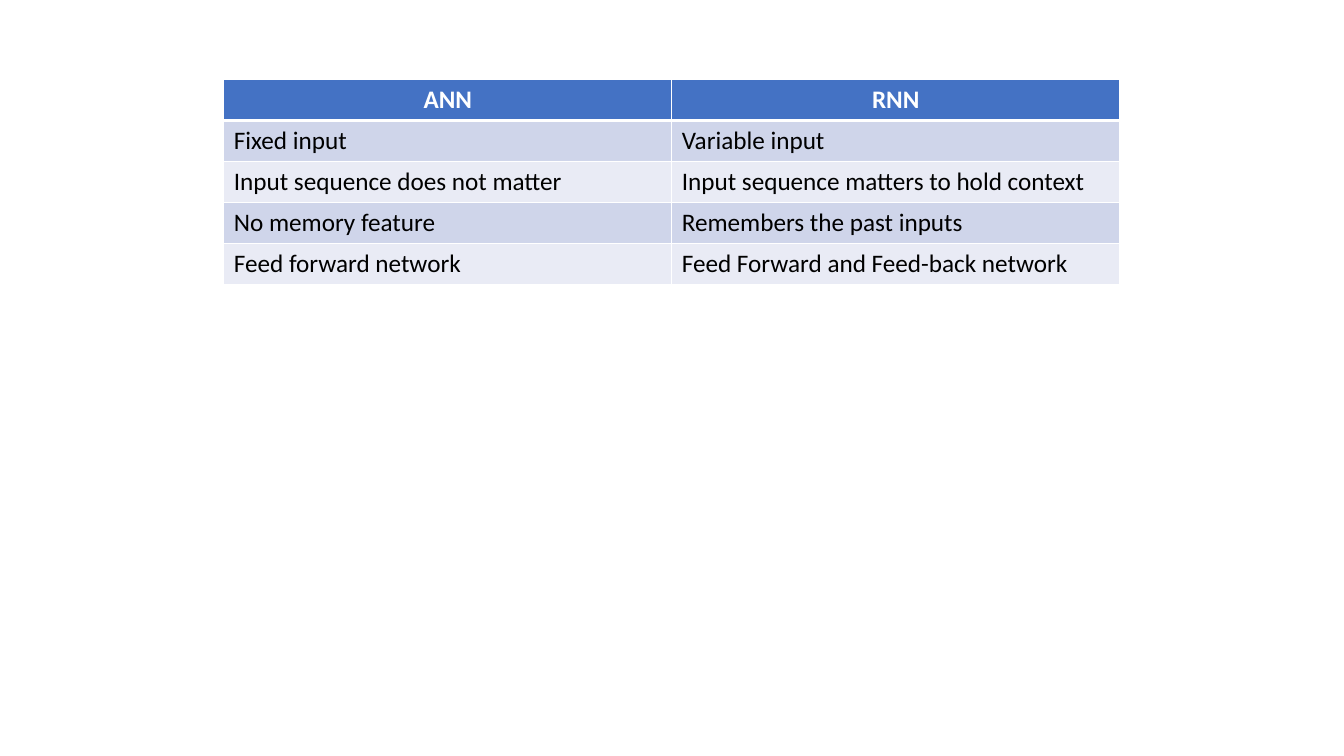
from dataclasses import dataclass

from lxml.etree import SubElement
from pptx import Presentation
from pptx.dml.color import RGBColor
from pptx.enum.text import PP_ALIGN
from pptx.oxml.ns import qn
from pptx.table import _Cell
from pptx.util import Cm, Pt

COLORS = {
    "header": "4472C4",
    "odd_row": "CFD5EA",
    "even_row": "E9EBF5",
    "border": "FFFFFF",
    "header_text": "FFFFFF",
    "body_text": "000000",
}
COLUMN_WIDTH = Cm(11.29)
ROW_HEIGHT = Cm(1.03)


@dataclass
class ComparisonRow:
    ann: str
    rnn: str


ROWS = [
    ComparisonRow("ANN", "RNN"),
    ComparisonRow("Fixed input", "Variable input"),
    ComparisonRow("Input sequence does not matter", "Input sequence matters to hold context"),
    ComparisonRow("No memory feature", "Remembers the past inputs"),
    ComparisonRow("Feed forward network", "Feed Forward and Feed-back network"),
]


def write_text(cell: _Cell, text: str, *, color: str, bold: bool = False,
               align: PP_ALIGN = PP_ALIGN.LEFT) -> None:
    para = cell.text_frame.paragraphs[0]
    para.alignment = align
    span = para.add_run()
    span.text = text
    span.font.name = "Calibri"
    span.font.size = Pt(18)
    span.font.bold = bold
    span.font.color.rgb = RGBColor.from_string(COLORS[color])


def set_borders(cell: _Cell, top: float = 1, bottom: float = 1) -> None:
    """Draw the four cell borders; widths are in points."""
    properties = cell._tc.get_or_add_tcPr()
    for side, width in {"L": 1, "R": 1, "T": top, "B": bottom}.items():
        line = SubElement(properties, qn(f"a:ln{side}"), w=str(Pt(width)))
        fill = SubElement(line, qn("a:solidFill"))
        SubElement(fill, qn("a:srgbClr"), val=COLORS["border"])


def fill_cell(cell: _Cell, color: str) -> None:
    cell.fill.solid()
    cell.fill.fore_color.rgb = RGBColor.from_string(COLORS[color])


def main() -> None:
    deck = Presentation()
    deck.slide_width, deck.slide_height = Cm(33.87), Cm(19.05)
    page = deck.slides.add_slide(deck.slide_layouts[6])

    # Comparison table
    frame = page.shapes.add_table(len(ROWS), 2, Cm(5.64), Cm(2.01),
                                  COLUMN_WIDTH * 2, ROW_HEIGHT * len(ROWS))
    table = frame.table
    for column in table.columns:
        column.width = COLUMN_WIDTH

    for index, row in enumerate(ROWS):
        table.rows[index].height = ROW_HEIGHT
        for cell, text in zip(table.rows[index].cells, (row.ann, row.rnn)):
            if index == 0:
                # Header with a thick rule beneath
                set_borders(cell, bottom=3)
                fill_cell(cell, "header")
                write_text(cell, text, color="header_text", bold=True, align=PP_ALIGN.CENTER)
            else:
                # Banded body
                set_borders(cell, top=3 if index == 1 else 1)
                fill_cell(cell, "odd_row" if index % 2 else "even_row")
                write_text(cell, text, color="body_text")

    deck.save("out.pptx")


if __name__ == "__main__":
    main()
